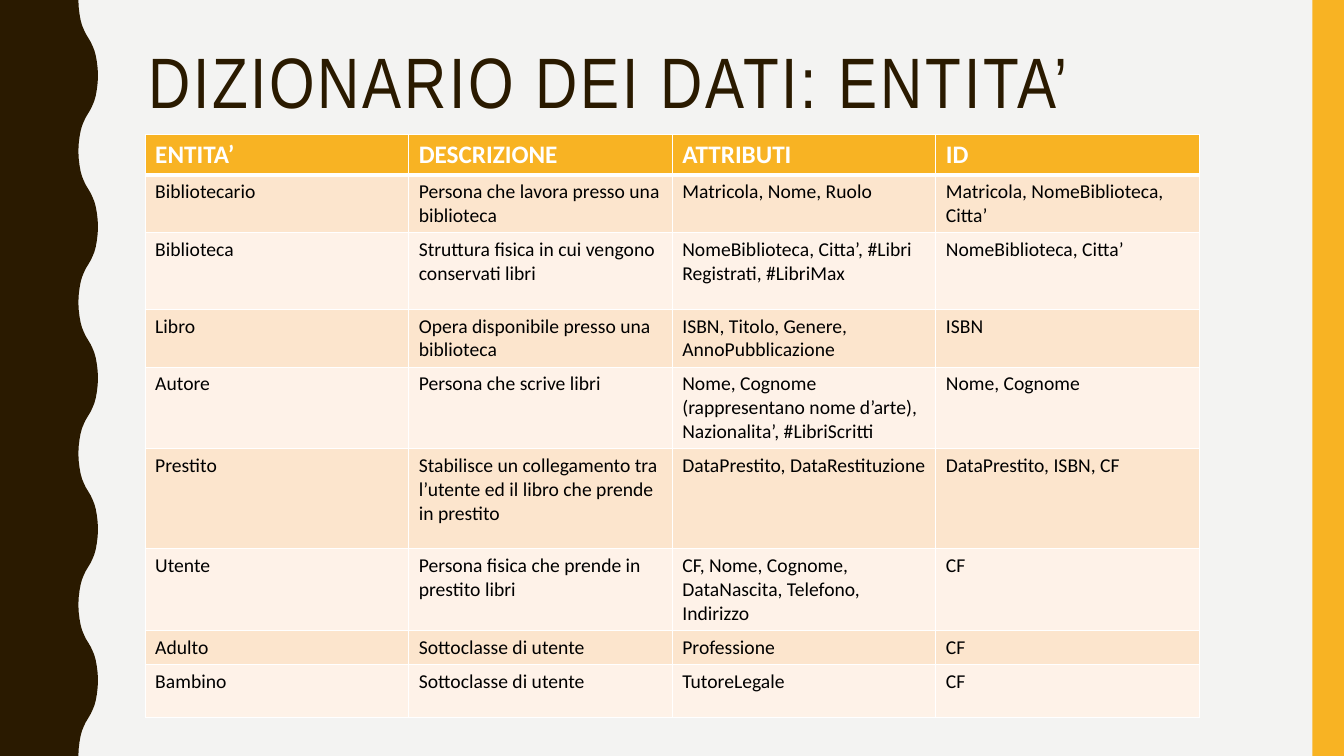
"""Build the data dictionary slide listing the entities of a library."""
from dataclasses import dataclass

from lxml import etree
from pptx import Presentation
from pptx.dml.color import RGBColor
from pptx.enum.shapes import MSO_SHAPE
from pptx.enum.text import MSO_ANCHOR, MSO_AUTO_SIZE, PP_ALIGN
from pptx.oxml.ns import qn
from pptx.util import Pt

RECTANGLE = MSO_SHAPE.RECTANGLE
ANCHOR_TOP = MSO_ANCHOR.TOP
NO_AUTOFIT = MSO_AUTO_SIZE.NONE
ALIGN_LEFT = PP_ALIGN.LEFT

TITLE = "DIZIONARIO DEI DATI: ENTITA’"
HEADER = ("ENTITA’", "DESCRIZIONE", "ATTRIBUTI", "ID")
ENTITIES = [
    ("Bibliotecario", "Persona che lavora presso una biblioteca",
     "Matricola, Nome, Ruolo", "Matricola, NomeBiblioteca, Citta’"),
    ("Biblioteca", "Struttura fisica in cui vengono conservati libri",
     "NomeBiblioteca, Citta’, #Libri Registrati, #LibriMax",
     "NomeBiblioteca, Citta’"),
    ("Libro", "Opera disponibile presso una biblioteca",
     "ISBN, Titolo, Genere, AnnoPubblicazione", "ISBN"),
    ("Autore", "Persona che scrive libri",
     "Nome, Cognome (rappresentano nome d’arte), Nazionalita’, #LibriScritti",
     "Nome, Cognome"),
    ("Prestito",
     "Stabilisce un collegamento tra l’utente ed il libro che prende in prestito",
     "DataPrestito, DataRestituzione", "DataPrestito, ISBN, CF"),
    ("Utente", "Persona fisica che prende in prestito libri",
     "CF, Nome, Cognome, DataNascita, Telefono, Indirizzo", "CF"),
    ("Adulto", "Sottoclasse di utente", "Professione", "CF"),
    ("Bambino", "Sottoclasse di utente", "TutoreLegale", "CF"),
]
ROW_HEIGHTS = (27.4, 38.2, 54.7, 38.2, 54.7, 71.3, 54.7, 22.3, 38.2)

SLIDE_WIDTH, SLIDE_HEIGHT = 960, 540
BAR_WIDTH = 22.5
TITLE_BOX = (98.6, 30.2, 801.4, 117.4)
TABLE_BOX = (103.7, 95.8, 753, 414)
HALF_WAVE_HEIGHT = 54
HALF_WAVE = [
    (56, 0), (56.2, 5), (56.8, 10), (57.6, 14.4), (58.6, 18), (59.8, 21),
    (61.2, 24), (63, 27), (64.8, 30), (66.2, 33), (67.4, 36), (68.4, 39.6),
    (69.2, 44), (69.8, 49), (70, 54),
]


@dataclass(frozen=True)
class Theme:
    """Colours, fonts and type sizes of the slide."""
    background: str = "F3F3F2"
    dark: str = "2A1A00"
    accent: str = "F8B323"
    bands: tuple = ("FCE5CD", "FEF2E8")
    white: str = "FFFFFF"
    black: str = "000000"
    title_font: str = "Arial Narrow"
    table_font: str = "Calibri"
    title_size: float = 51
    header_size: float = 18
    body_size: float = 14
    title_spacing: float = 2
    thin_border: float = 1
    thick_border: float = 3


THEME = Theme()


def paint(fill, color):
    """Apply a solid colour to a fill."""
    fill.solid()
    fill.fore_color.rgb = RGBColor.from_string(color)


def style_text(paragraph, name, size, color, bold=False):
    """Set the font of a whole paragraph."""
    font = paragraph.font
    font.name, font.size, font.bold = name, Pt(size), bold
    font.color.rgb = RGBColor.from_string(color)


def style_shape(shape, color):
    """Give a shape a plain fill without line or shadow."""
    paint(shape.fill, color)
    shape.line.fill.background()
    shape.shadow.inherit = False


def add_border(cell, side, width):
    """Draw a white border on one side of a cell."""
    properties = cell._tc.get_or_add_tcPr()
    line = etree.SubElement(properties, qn(f"a:ln{side}"), w=str(Pt(width)))
    fill = etree.SubElement(line, qn("a:solidFill"))
    etree.SubElement(fill, qn("a:srgbClr"), val=THEME.white)


def add_wave(slide):
    """Draw the dark wavy band on the left edge."""
    edge = [(0, 0)]
    for index in range(SLIDE_HEIGHT // HALF_WAVE_HEIGHT):
        top = index * HALF_WAVE_HEIGHT
        if index % 2:
            edge += [(x, top + HALF_WAVE_HEIGHT - y) for x, y in reversed(HALF_WAVE)]
        else:
            edge += [(x, top + y) for x, y in HALF_WAVE]
    edge.append((0, SLIDE_HEIGHT))
    points = [(Pt(x), Pt(y)) for x, y in edge]
    builder = slide.shapes.build_freeform(*points[0])
    builder.add_line_segments(points[1:], close=True)
    style_shape(builder.convert_to_shape(), THEME.dark)


def add_bar(slide):
    """Draw the accent bar on the right edge."""
    bar = slide.shapes.add_shape(
        RECTANGLE, Pt(SLIDE_WIDTH - BAR_WIDTH), 0, Pt(BAR_WIDTH), Pt(SLIDE_HEIGHT))
    style_shape(bar, THEME.accent)


def fill_title(slide):
    """Place and format the slide title."""
    title = slide.shapes.title
    title.left, title.top, title.width, title.height = map(Pt, TITLE_BOX)
    frame = title.text_frame
    frame.text = TITLE
    frame.word_wrap = True
    frame.auto_size = NO_AUTOFIT
    frame.vertical_anchor = ANCHOR_TOP
    paragraph = frame.paragraphs[0]
    paragraph.alignment = ALIGN_LEFT
    paragraph.line_spacing = 0.9
    style_text(paragraph, THEME.title_font, THEME.title_size, THEME.dark)
    spacing = str(int(THEME.title_spacing * 100))
    paragraph.runs[0]._r.get_or_add_rPr().set("spc", spacing)


def fill_cell(cell, text, row):
    """Write one table cell with its borders, fill and font."""
    is_header = row == 0
    widths = {side: THEME.thin_border for side in "LRTB"}
    if row < 2:
        widths["B" if is_header else "T"] = THEME.thick_border
    for side, width in widths.items():
        add_border(cell, side, width)
    paint(cell.fill, THEME.accent if is_header else THEME.bands[(row - 1) % 2])
    cell.text = text
    style_text(
        cell.text_frame.paragraphs[0], THEME.table_font,
        THEME.header_size if is_header else THEME.body_size,
        THEME.white if is_header else THEME.black, is_header)


def add_entity_table(slide):
    """Add the table of entities."""
    rows = [HEADER, *ENTITIES]
    shape = slide.shapes.add_table(len(rows), len(HEADER), *map(Pt, TABLE_BOX))
    table = shape.table
    for row, (texts, height) in enumerate(zip(rows, ROW_HEIGHTS)):
        table.rows[row].height = Pt(height)
        for column, text in enumerate(texts):
            fill_cell(table.cell(row, column), text, row)
    shape.height = Pt(TABLE_BOX[3])


def main():
    """Build and save the presentation."""
    presentation = Presentation()
    presentation.slide_width = Pt(SLIDE_WIDTH)
    presentation.slide_height = Pt(SLIDE_HEIGHT)
    slide = presentation.slides.add_slide(presentation.slide_layouts[5])
    paint(slide.background.fill, THEME.background)
    add_wave(slide)
    add_bar(slide)
    fill_title(slide)
    add_entity_table(slide)
    presentation.save("out.pptx")


if __name__ == "__main__":
    main()
